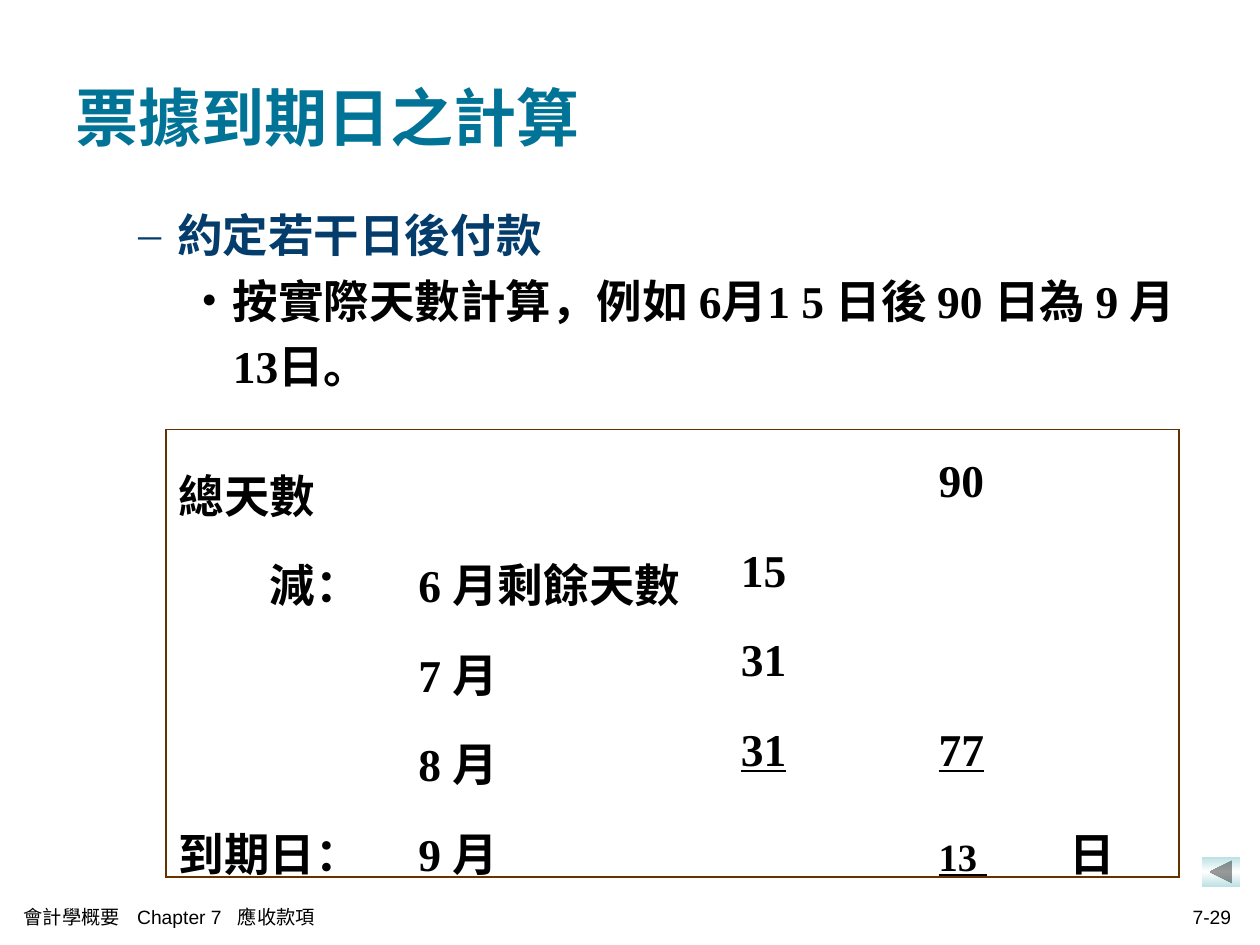
"""Build the slide on working out the maturity date of a note."""
import copy

import pptx
import pptx.dml.color
import pptx.enum.shapes
import pptx.enum.text
import pptx.oxml
import pptx.oxml.ns
import pptx.util
from pptx.util import Inches

SERIF, SANS = "Times New Roman", "Arial"
BLACK, TEAL, NAVY, BROWN, ICE = "000000", "007396", "043D6B", "663300", "BBE0E3"


def color(value):
    return pptx.dml.color.RGBColor.from_string(value)


def element(xml):
    tag, rest = xml[1:].split(" ", 1)
    return pptx.oxml.parse_xml(f"<{tag} {pptx.oxml.ns.nsdecls('a')} {rest}")


class SlideBuilder:
    def __init__(self, deck):
        self.deck = deck
        self.slide = deck.slides.add_slide(deck.slide_layouts[5])

    def place(self, shape, left, top, width, height):
        shape.left, shape.top = Inches(left), Inches(top)
        shape.width, shape.height = Inches(width), Inches(height)

    def span(self, para, text, size=26, ink=BLACK, font=SERIF, bold=True, underline=False):
        span = para.add_run()
        span.text = text
        span.font.size = pptx.util.Pt(size)
        span.font.name = font
        span.font.bold = bold
        span.font.underline = underline
        span.font.color.rgb = color(ink)

    def tabs(self, para, *stops):
        marks = "".join(f'<a:tab pos="{Inches(stop)}" algn="l"/>' for stop in stops)
        para._p.get_or_add_pPr().append(element(f"<a:tabLst >{marks}</a:tabLst>"))

    def indent(self, para, margin, hanging=0):
        properties = para._p.get_or_add_pPr()
        properties.set("marL", str(Inches(margin)))
        properties.set("indent", str(Inches(hanging)))

    def title(self, text, *place):
        title = self.slide.shapes.title
        self.place(title, *place)
        title.text_frame.vertical_anchor = pptx.enum.text.MSO_ANCHOR.MIDDLE
        para = title.text_frame.paragraphs[0]
        para.alignment = pptx.enum.text.PP_ALIGN.LEFT
        self.span(para, text, 36, TEAL)

    def box(self, *place):
        box = self.slide.shapes.add_textbox(*map(Inches, place))
        box.text_frame.word_wrap = True
        return box.text_frame

    def bullets(self, items, *place):
        frame = self.box(*place)
        for index, (text, mark, ink, margin, hanging) in enumerate(items):
            para = frame.add_paragraph() if index else frame.paragraphs[0]
            self.indent(para, margin, hanging)
            properties = para._p.get_or_add_pPr()
            properties.append(element(f'<a:buClr ><a:srgbClr val="{ink}"/></a:buClr>'))
            properties.append(element(f'<a:buFont typeface="{SERIF}"/>'))
            properties.append(element(f'<a:buChar char="{mark}"/>'))
            para.line_spacing = 1.2
            self.span(para, text, ink=ink)

    def footer(self, text, align, stops, *place):
        frame = self.box(*place)
        frame.vertical_anchor = pptx.enum.text.MSO_ANCHOR.MIDDLE
        para = frame.paragraphs[0]
        self.tabs(para, *stops)
        para.alignment = align
        self.span(para, text, 11, font=SANS, bold=False)

    def borders(self, cell, shown):
        properties = cell._tc.get_or_add_tcPr()
        for side in "LRTB":
            paint = "<a:noFill/>"
            if side in shown:
                paint = f'<a:solidFill><a:srgbClr val="{BROWN}"/></a:solidFill>'
            width = pptx.util.Pt(1.08)
            properties.append(element(f'<a:ln{side} w="{width}">{paint}</a:ln{side}>'))

    def table(self, rows, widths, heights, left, top):
        last_row, last_column = len(heights) - 1, len(widths) - 1
        frame = self.slide.shapes.add_table(
            len(heights), len(widths), Inches(left), Inches(top),
            Inches(sum(widths)), Inches(sum(heights)))
        table = frame.table
        table.first_row = table.horz_banding = False
        for column, width in zip(table.columns, widths):
            column.width = Inches(width)
        for row, height in zip(table.rows, heights):
            row.height = Inches(height)
        for r, row in enumerate(rows):
            for c, spans in enumerate(row):
                cell = table.cell(r, c)
                edges = {"L": c == 0, "R": c == last_column, "T": r == 0, "B": r == last_row}
                self.borders(cell, [side for side, outer in edges.items() if outer])
                cell.fill.background()
                cell.margin_top = Inches(0.14)
                para = cell.text_frame.paragraphs[0]
                para.line_spacing = 1.2
                for text, style in spans:
                    self.span(para, text, **style)
        return table

    def back_button(self, *place):
        kind = pptx.enum.shapes.MSO_SHAPE.ACTION_BUTTON_BACK_OR_PREVIOUS
        button = self.slide.shapes.add_shape(kind, *map(Inches, place))
        button.shadow.inherit = False
        button.line.fill.background()
        button.fill.gradient()
        button.fill.gradient_angle = 270
        first = button.fill.gradient_stops[0]._gs
        first.addnext(copy.deepcopy(first))
        for stop, position, ink in zip(button.fill.gradient_stops, (0, 0.5, 1), (ICE, "FFFFFF", ICE)):
            stop.position = position
            stop.color.rgb = color(ink)


def plain(text):
    return [(text, {})] if text else []


def underlined(text, size=26):
    return [(text, {"underline": True, "size": size})]


def main():
    deck = pptx.Presentation()
    deck.slide_width, deck.slide_height = Inches(10), Inches(7.5)
    page = SlideBuilder(deck)
    page.title("票據到期日之計算", 0.5, 0.3, 9, 1.25)
    page.bullets([
        ("約定若干日後付款", "–", NAVY, 0.81, -0.31),
        ("按實際天數計算，例如 6月1 5 日後 90 日為 9 月 13日。", "•", BLACK, 1.25, -0.25),
    ], 0.5, 1.51, 9, 5.53)
    blank = plain("")
    rows = [
        [plain("總天數"), blank, blank, plain("90")],
        [plain("減："), plain("6 月剩餘天數"), plain("15"), blank],
        [blank, plain("7 月"), plain("31"), blank],
        [blank, plain("8 月"), underlined("31"), underlined("77")],
        [plain("到期日："), plain("9 月"), blank, underlined("13 ", 22) + plain("\t日")],
    ]
    table = page.table(rows, [1.9, 2.56, 1.57, 2.01], [0.63, 0.69, 0.63, 0.63, 0.69], 1.32, 3.41)
    page.indent(table.cell(1, 0).text_frame.paragraphs[0], 0.72)
    page.tabs(table.cell(4, 3).text_frame.paragraphs[0], 1.04)
    page.back_button(9.54, 6.8, 0.3, 0.24)
    align = pptx.enum.text.PP_ALIGN
    page.footer("會計學概要\tChapter 7\t應收款項", align.LEFT, (0.9, 1.7), 0.09, 7.11, 5.1, 0.33)
    page.footer("7-29", align.RIGHT, (), 6.72, 7.11, 3.15, 0.33)
    deck.save("out.pptx")


if __name__ == "__main__":
    main()
